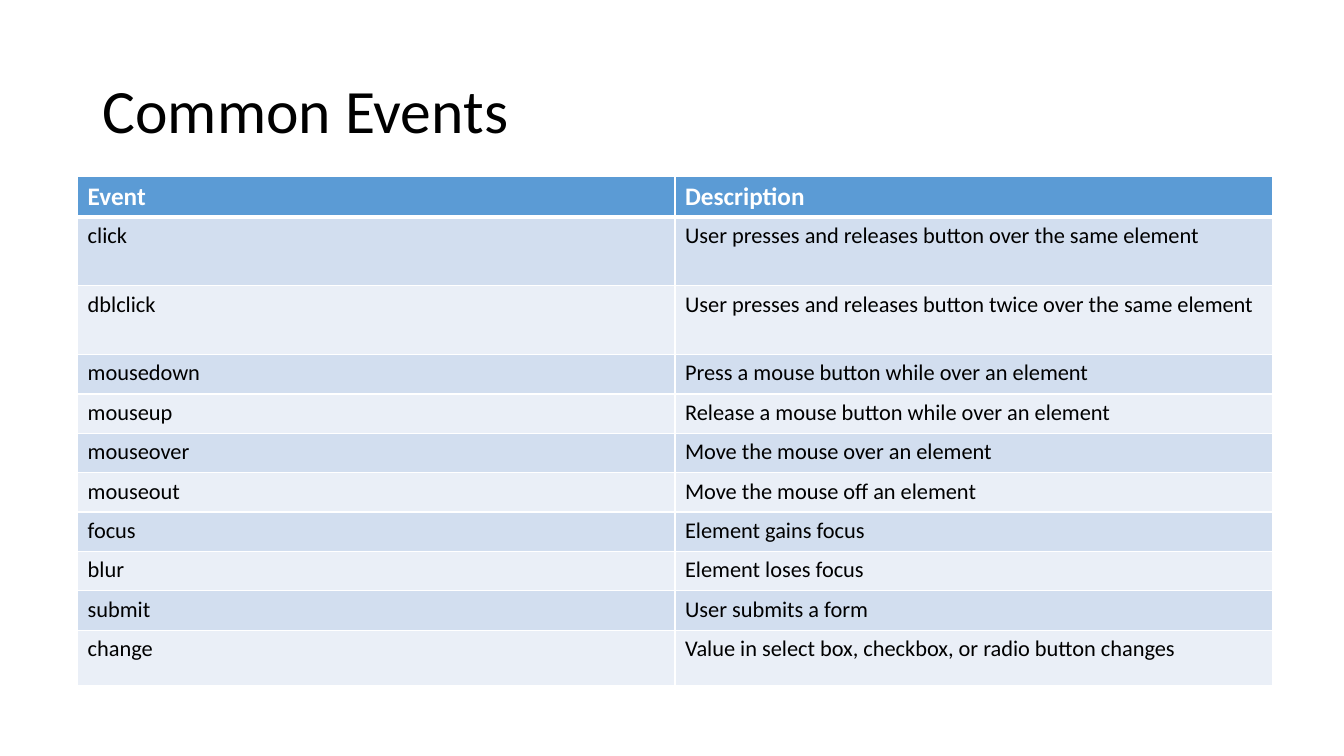
from dataclasses import dataclass

from lxml import etree
from pptx import Presentation
from pptx.dml.color import RGBColor
from pptx.enum.text import MSO_ANCHOR
from pptx.oxml.ns import qn
from pptx.slide import Slide
from pptx.table import _Cell
from pptx.text.text import _Paragraph
from pptx.util import Inches, Pt

MIDDLE = MSO_ANCHOR.MIDDLE
WIDE, HIGH = 13.33, 7.5


@dataclass(frozen=True)
class Theme:
    font: str = "Calibri"
    ink: str = "000000"
    paper: str = "FFFFFF"
    head: str = "5B9BD5"
    bands: tuple[str, str] = ("D2DEEF", "EAEFF7")
    title: int = 44
    label: int = 18
    body: int = 16
    thin: int = 1
    thick: int = 3


@dataclass(frozen=True)
class Area:
    """Place on the slide, as shares of its width and height."""
    left: float
    top: float
    width: float
    height: float

    def box(self) -> tuple[int, int, int, int]:
        return (Inches(self.left * WIDE), Inches(self.top * HIGH),
                Inches(self.width * WIDE), Inches(self.height * HIGH))


@dataclass(frozen=True)
class Event:
    name: str
    text: str
    rows: float = 1  # height in grid rows


THEME = Theme()
TITLE = Area(0.92 / WIDE, 0.4 / HIGH, 11.5 / WIDE, 1.45 / HIGH)
TABLE = Area(0.77 / WIDE, 1.75 / HIGH, 11.85 / WIDE, 5.04 / HIGH)

EVENTS = [
    Event("Event", "Description"),
    Event("click", "User presses and releases button over the same element", 1.75),
    Event("dblclick", "User presses and releases button twice over the same element", 1.75),
    Event("mousedown", "Press a mouse button while over an element"),
    Event("mouseup", "Release a mouse button while over an element"),
    Event("mouseover", "Move the mouse over an element"),
    Event("mouseout", "Move the mouse off an element"),
    Event("focus", "Element gains focus"),
    Event("blur", "Element loses focus"),
    Event("submit", "User submits a form"),
    Event("change", "Value in select box, checkbox, or radio button changes", 1.4),
]


def style(para: _Paragraph, size: int, color: str, bold: bool = False) -> None:
    font = para.font
    font.name, font.size, font.bold = THEME.font, Pt(size), bold
    font.color.rgb = RGBColor.from_string(color)


def edge(cell: _Cell, side: str, width: int) -> None:
    props = cell._tc.get_or_add_tcPr()
    line = etree.SubElement(props, qn(f"a:ln{side}"), w=str(Pt(width)))
    fill = etree.SubElement(line, qn("a:solidFill"))
    etree.SubElement(fill, qn("a:srgbClr"), val=THEME.paper)


def draw_cell(cell: _Cell, text: str, row: int) -> None:
    head = row == 0
    # Borders come before the fill in the cell's XML
    for side in "LRTB":
        rule = (side == "B" and head) or (side == "T" and row == 1)
        edge(cell, side, THEME.thick if rule else THEME.thin)
    cell.fill.solid()
    shade = THEME.head if head else THEME.bands[(row - 1) % 2]
    cell.fill.fore_color.rgb = RGBColor.from_string(shade)
    cell.text = text
    style(cell.text_frame.paragraphs[0], THEME.label if head else THEME.body,
          THEME.paper if head else THEME.ink, head)


def draw_title(slide: Slide, text: str) -> None:
    frame = slide.shapes.add_textbox(*TITLE.box()).text_frame
    frame.word_wrap = True
    frame.vertical_anchor = MIDDLE
    frame.text = text
    para = frame.paragraphs[0]
    para.line_spacing = 0.9
    style(para, THEME.title, THEME.ink)


def draw_table(slide: Slide, events: list[Event]) -> None:
    box = TABLE.box()
    table = slide.shapes.add_table(len(events), 2, *box).table
    unit = box[3] / sum(event.rows for event in events)
    for row, event in enumerate(events):
        table.rows[row].height = round(unit * event.rows)
        for col, text in enumerate((event.name, event.text)):
            draw_cell(table.cell(row, col), text, row)


def main() -> None:
    deck = Presentation()
    deck.slide_width, deck.slide_height = Inches(WIDE), Inches(HIGH)
    slide = deck.slides.add_slide(deck.slide_layouts[6])
    draw_title(slide, "Common Events")
    draw_table(slide, EVENTS)
    deck.save("out.pptx")


if __name__ == "__main__":
    main()
